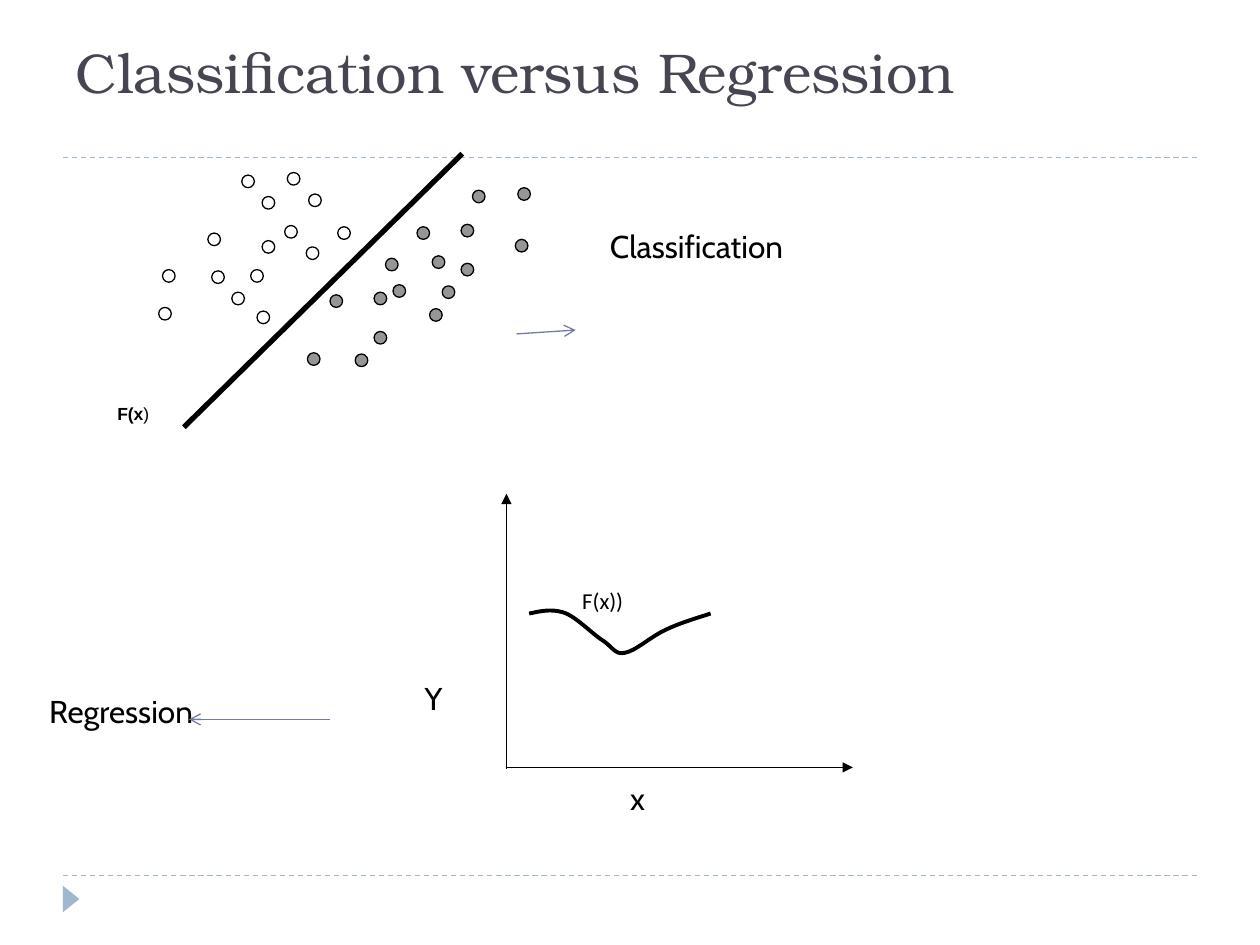
from lxml import etree
from pptx import Presentation
from pptx.dml.color import RGBColor
from pptx.enum import dml, shapes, text
from pptx.oxml import ns
from pptx.util import Pt

BLACK = RGBColor(0x00, 0x00, 0x00)
WHITE = RGBColor(0xFF, 0xFF, 0xFF)
GREY = RGBColor(0x96, 0x96, 0x96)
SLATE = RGBColor(0x46, 0x46, 0x53)
PALE_BLUE = RGBColor(0x9F, 0xB8, 0xCD)
BLUE = RGBColor(0x72, 0x7C, 0xA3)

TITLE = "Classification versus Regression"
DOT_SIZE = 7.2
OPEN_CLASS = [
    (193, 129.6), (121, 154.8), (138.2, 100.1), (92.9, 154.1), (146.9, 177.8),
    (162.7, 128.9), (164.2, 98.6), (149.8, 137.5), (132.5, 167), (149.8, 112.3),
    (90.7, 175.7), (143.3, 154.1), (118.8, 133.2), (175, 141.1), (176.4, 110.9),
]
GREY_CLASS = [
    (213.8, 167), (203, 202.3), (220.3, 147.6), (175.7, 201.6), (213.8, 189.4),
    (188.6, 168.5), (245.5, 176.4), (247, 146.2), (263.5, 128.2), (252.7, 163.4),
    (270, 108.7), (224.6, 162.7), (263.5, 150.5), (238.3, 129.6), (294.5, 136.8),
    (295.9, 107.3),
]
RULES = [(36, 500.4, 684, 500.4), (36, 90, 684, 90)]
AXES = [(289.4, 439.2, 289.4, 282.2), (289.4, 438.5, 487.4, 438.5)]
POINTERS = [(295.2, 190.8, 329, 188.6), (188.6, 411.1, 108, 411.1)]
BOUNDARY = (264.2, 87.8, 105.1, 244.1)
CURVE_START = (302.4, 350.6)
CURVE = [
    [(308.9, 349.2), (314.6, 347.8), (321.8, 349.9)],
    [(329, 352.1), (338.4, 362.2), (344.2, 365.8)],
    [(349.9, 369.4), (351.4, 374.4), (357.1, 373)],
    [(362.9, 372.2), (372.2, 363.6), (380.2, 360)],
    [(388.8, 355.7), (401.8, 352.1), (406.1, 350.6)],
]
LABELS = [
    ("Y", (236.9, 385.2, 52.6, 28.1), True),
    ("x", (354.2, 442.1, 20.9, 28.1), False),
    ("Classification", (342.7, 126.7, 118.1, 28.1), False),
    ("Regression", (22.3, 392.4, 97.2, 28.1), False),
]


def write(sp, content, font="Cabin", size=18, color=BLACK, bold_part="",
          wrap=False, anchor=text.MSO_ANCHOR.TOP, insets=(5.8, 2.9, 5.8, 2.9), after=0):
    tf = sp.text_frame
    tf.word_wrap = wrap
    tf.auto_size = text.MSO_AUTO_SIZE.NONE
    tf.vertical_anchor = anchor
    tf.margin_left, tf.margin_top, tf.margin_right, tf.margin_bottom = map(Pt, insets)
    p = tf.paragraphs[0]
    p.alignment = text.PP_ALIGN.LEFT
    p.space_after = Pt(after)
    for part, bold in ((bold_part, True), (content, False)):
        if part:
            r = p.add_run()
            r.text = part
            r.font.name, r.font.size, r.font.bold = font, Pt(size), bold
            r.font.color.rgb = color


def add_shape(s, kind, box, fill, line=None):
    sp = s.shapes.add_shape(kind, *map(Pt, box))
    sp.shadow.inherit = False
    sp.fill.solid()
    sp.fill.fore_color.rgb = fill
    if line is None:
        sp.line.fill.background()
    else:
        sp.line.color.rgb = line
        sp.line.width = Pt(0.75)
    return sp


def add_line(s, ends, color, width=0.75, dash=None, arrow=None):
    cn = s.shapes.add_connector(shapes.MSO_CONNECTOR.STRAIGHT, *map(Pt, ends))
    cn.line.color.rgb = color
    cn.line.width = Pt(width)
    if dash:
        cn.line.dash_style = dash
    if arrow:
        ln = cn.line._get_or_add_ln()
        etree.SubElement(ln, ns.qn("a:tailEnd"), type=arrow)
    etree.SubElement(cn._element.spPr, ns.qn("a:effectLst"))


def add_curve(s, start, segments, color, width):
    fb = s.shapes.build_freeform(*map(Pt, start))
    fb.add_line_segments([tuple(map(Pt, seg[-1])) for seg in segments], close=False)
    sp = fb.convert_to_shape()
    sp.shadow.inherit = False
    sp.fill.background()
    sp.line.color.rgb = color
    sp.line.width = Pt(width)
    for step, seg in zip(list(sp._element.iter(ns.qn("a:lnTo"))), segments):
        bezier = etree.Element(ns.qn("a:cubicBezTo"))
        for x, y in seg:
            etree.SubElement(bezier, ns.qn("a:pt"),
                             x=str(Pt(x) - sp.left), y=str(Pt(y) - sp.top))
        step.getparent().replace(step, bezier)


def main():
    prs = Presentation()
    prs.slide_width, prs.slide_height = Pt(720), Pt(540)
    s = prs.slides.add_slide(prs.slide_layouts[5])
    oval, rect = shapes.MSO_SHAPE.OVAL, shapes.MSO_SHAPE.RECTANGLE

    for ends in RULES:
        add_line(s, ends, PALE_BLUE, dash=dml.MSO_LINE.DASH)
    marker = add_shape(s, shapes.MSO_SHAPE.ISOSCELES_TRIANGLE,
                       (33.1, 509, 15.1, 9.4), PALE_BLUE)
    marker.rotation = 90

    title = s.shapes.title
    title.left, title.top, title.width, title.height = map(Pt, (36, 15.1, 641.5, 48.2))
    write(title, TITLE, font="TeX Gyre Bonum", size=32, color=SLATE, wrap=True,
          anchor=text.MSO_ANCHOR.BOTTOM, insets=(7.2, 2.9, 7.2, 3.6))

    curve_label = add_shape(s, rect, (326.9, 332.6, 49.7, 44.6), WHITE)
    write(curve_label, "F(x))", font="Calibri", size=13, wrap=True, after=8.4)
    for ends in AXES:
        add_line(s, ends, BLACK, arrow="triangle")
    add_curve(s, CURVE_START, CURVE, BLACK, 2.25)

    for dots, fill in ((OPEN_CLASS, WHITE), (GREY_CLASS, GREY)):
        for x, y in dots:
            add_shape(s, oval, (x, y, DOT_SIZE, DOT_SIZE), fill, BLACK)
    add_line(s, BOUNDARY, BLACK, width=3)
    boundary_label = add_shape(s, rect, (61.2, 227.5, 35.3, 33.8), WHITE)
    write(boundary_label, ")", font="Arial", size=10, bold_part="F(x")

    for label, box, wrap in LABELS:
        write(s.shapes.add_textbox(*map(Pt, box)), label, wrap=wrap)
    for ends in POINTERS:
        add_line(s, ends, BLUE, arrow="arrow")

    prs.save("out.pptx")


if __name__ == "__main__":
    main()
